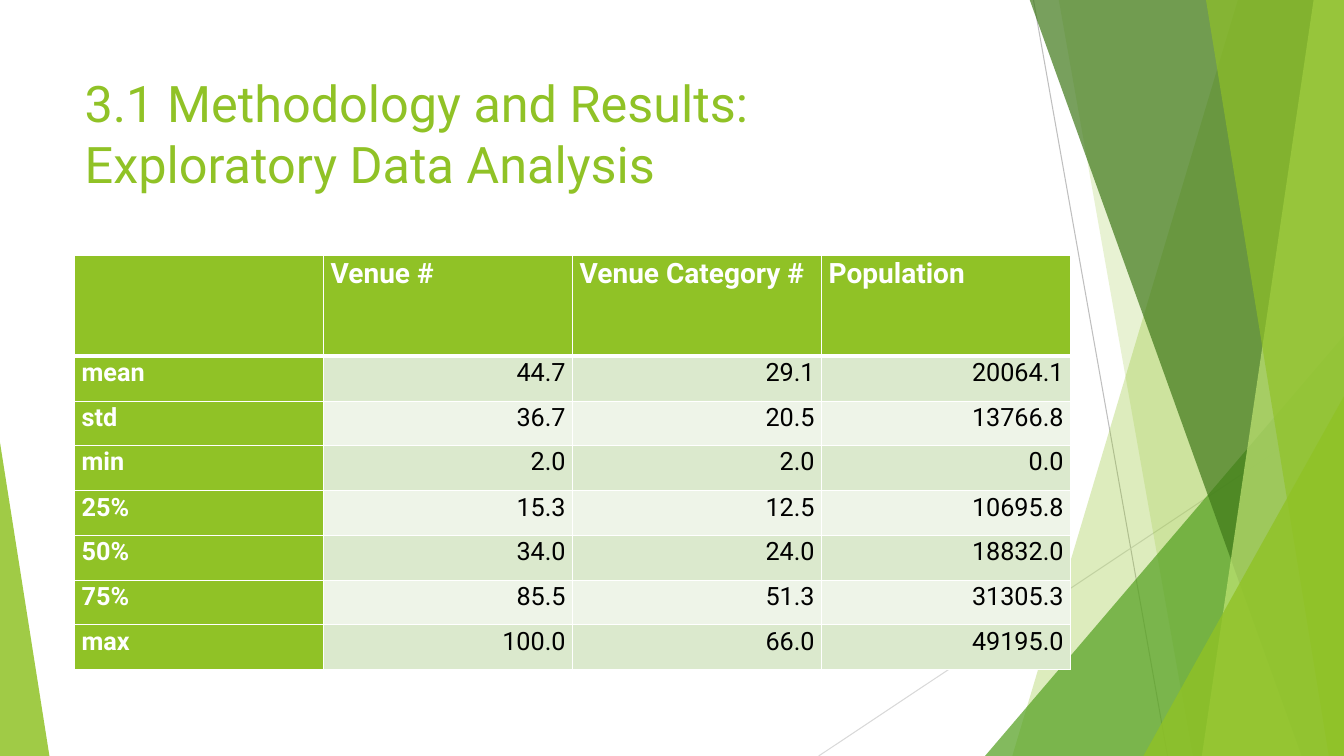
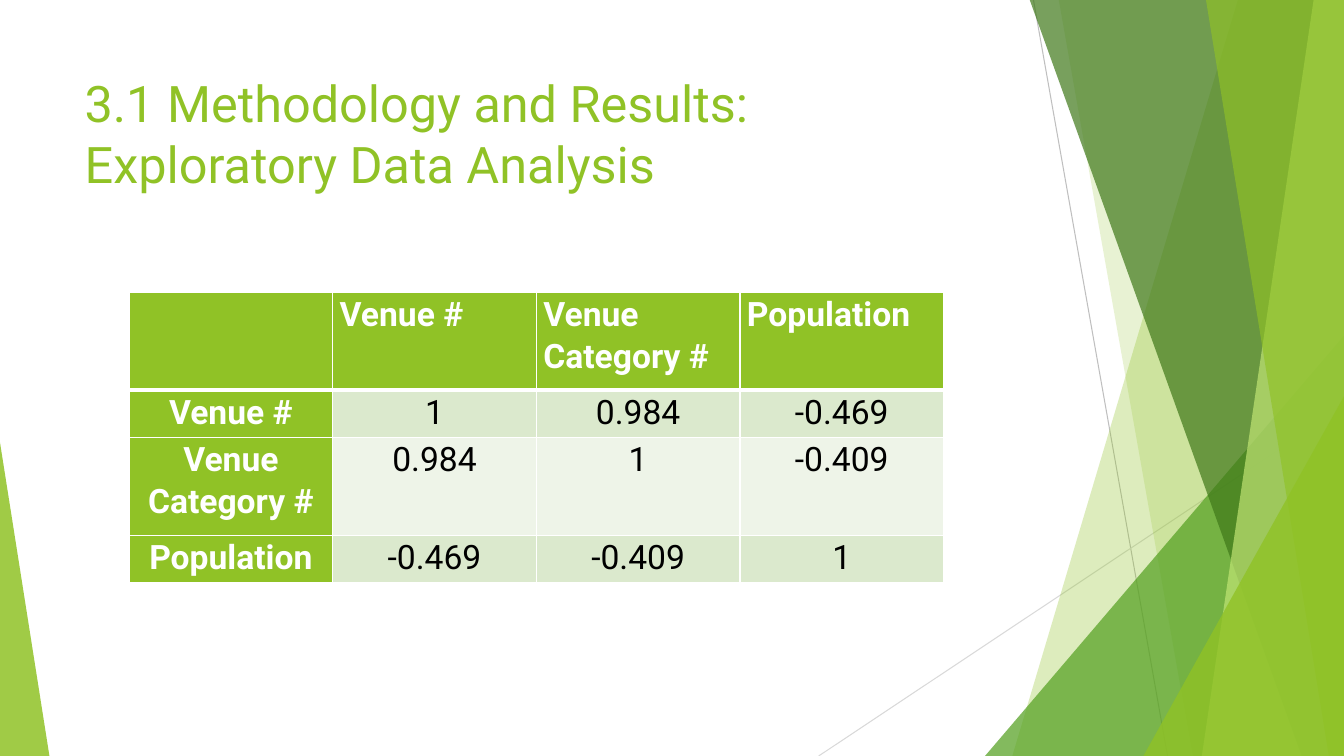
from dataclasses import dataclass

from lxml import etree
from pptx import Presentation
from pptx import util as u
from pptx.dml.color import RGBColor
from pptx.enum import shapes, text
from pptx.oxml import ns

PX = 9144
WIDE, HIGH = 1333, 750


@dataclass(frozen=True)
class Theme:
    font: str = "Roboto"
    lime: str = "90C226"
    leaf: str = "54A021"
    pine: str = "3F7819"
    pale: str = "C0E474"
    bands: tuple = ("DBE9CD", "EEF4E8")
    white: str = "FFFFFF"
    black: str = "000000"
    rules: tuple = ("BFBFBF", "D9D9D9")
    title: int = 36
    large: int = 24
    head: int = 20
    body: int = 18


T = Theme()
LEFT, MID, RIGHT = text.PP_ALIGN.LEFT, text.PP_ALIGN.CENTER, text.PP_ALIGN.RIGHT
TITLE = "3.1 Methodology and Results: Exploratory Data Analysis"
HEADS = ["", "Venue #", "Venue Category #", "Population"]
STATS = [
    HEADS,
    ["mean", "44.7", "29.1", "20064.1"],
    ["std", "36.7", "20.5", "13766.8"],
    ["min", "2.0", "2.0", "0.0"],
    ["25%", "15.3", "12.5", "10695.8"],
    ["50%", "34.0", "24.0", "18832.0"],
    ["75%", "85.5", "51.3", "31305.3"],
    ["max", "100.0", "66.0", "49195.0"],
]
LINKS = [
    HEADS,
    ["Venue #", "1", "0.984", "-0.469"],
    ["Venue Category #", "0.984", "1", "-0.409"],
    ["Population", "-0.469", "-0.409", "1"],
]


def px(*sizes):
    return [u.Emu(size * PX) for size in sizes]


def sub(node, tag, **attrs):
    return etree.SubElement(node, ns.qn(tag), attrs)


def write(frame, words, size, color, bold=False, align=LEFT, space=None):
    para = frame.paragraphs[0]
    para.alignment = align
    para.line_spacing = space
    run = para.add_run()
    run.text = words
    run.font.name = T.font
    run.font.size = u.Pt(size)
    run.font.bold = bold
    run.font.color.rgb = RGBColor.from_string(color)


def paint(shape, color, alpha):
    shape.shadow.inherit = False
    shape.fill.solid()
    shape.fill.fore_color.rgb = RGBColor.from_string(color)
    tint = shape.fill._xPr.find(ns.qn("a:solidFill"))[0]
    sub(tint, "a:alpha", val=str(alpha * 1000))
    shape.line.fill.background()


def rule(slide, start, end, color):
    line = slide.shapes.add_connector(
        shapes.MSO_CONNECTOR.STRAIGHT, *px(*start, *end))
    line.line.color.rgb = RGBColor.from_string(color)
    line.line.width = u.Pt(0.75)
    sub(line._element.spPr, "a:effectLst")


def facet(slide, top, base, color, alpha):
    pen = slide.shapes.build_freeform(top, -1, scale=PX)
    pen.add_line_segments([(WIDE, -1), (WIDE, HIGH), (base, HIGH)])
    paint(pen.convert_to_shape(), color, alpha)


def wedge(slide, left, top, width, tip, color, alpha):
    shape = slide.shapes.add_shape(
        shapes.MSO_SHAPE.ISOSCELES_TRIANGLE, *px(left, top, width, HIGH - top))
    shape.adjustments[0] = tip
    paint(shape, color, alpha)


def adorn(slide):
    rule(slide, (1025, 0), (1158, HIGH), T.rules[0])
    rule(slide, (WIDE, 403), (812, HIGH), T.rules[1])
    facet(slide, 1228, 1004, T.lime, 30)
    facet(slide, 1050, 1183, T.lime, 20)
    wedge(slide, 977, 333, 356, 1, T.leaf, 72)
    facet(slide, 1021, 1291, T.pine, 70)
    facet(slide, 1303, 1192, T.pale, 70)
    facet(slide, 1196, 1318, T.lime, 65)
    wedge(slide, 1134, 393, 199, 1, T.lime, 80)
    wedge(slide, 0, 439, 49, 0, T.lime, 85)


def share(slide):
    adorn(slide)
    tree = slide.slide_layout.shapes._spTree
    for shape in list(slide.shapes):
        if not shape.is_placeholder:
            tree.append(shape._element)


def head(slide):
    box = slide.shapes.title
    box.left, box.top, box.width, box.height = px(74, 67, 940, 144)
    box.text_frame.word_wrap = True
    box.text_frame.vertical_anchor = text.MSO_ANCHOR.TOP
    write(box.text_frame, TITLE, T.title, T.lime)


def edge(cell, first):
    props = cell._tc.get_or_add_tcPr()
    for side in "LRTB":
        points = 3 if first and side == "B" else 1
        line = sub(props, f"a:ln{side}", w=str(u.Pt(points)))
        sub(sub(line, "a:solidFill"), "a:srgbClr", val=T.white)


def grid(slide, data, place, width, rows, sizes, aligns):
    spot = px(*place, width * len(data[0]), sum(rows))
    table = slide.shapes.add_table(len(data), len(data[0]), *spot).table
    for col in table.columns:
        col.width = px(width)[0]
    for i, (words, high) in enumerate(zip(data, rows)):
        table.rows[i].height = px(high)[0]
        for j, word in enumerate(words):
            cell = table.cell(i, j)
            label = i == 0 or j == 0
            edge(cell, i == 0)
            cell.fill.solid()
            cell.fill.fore_color.rgb = RGBColor.from_string(
                T.lime if label else T.bands[(i - 1) % 2])
            cell.margin_left, cell.margin_right = px(7, 7)
            cell.margin_top = cell.margin_bottom = 0
            if word:
                write(cell.text_frame, word, sizes[i > 0],
                      T.white if label else T.black, bold=label, space=1.07,
                      align=LEFT if i == 0 else aligns[j > 0])


def main():
    deck = Presentation()
    deck.slide_width, deck.slide_height = px(WIDE, HIGH)
    layout = deck.slide_layouts[5]
    stats, links = [deck.slides.add_slide(layout) for _ in range(2)]
    share(stats)
    for slide in (stats, links):
        head(slide)
    grid(stats, STATS, (74, 253), 247, [100] + [45, 44] * 3 + [44],
         (T.head, T.body), (LEFT, RIGHT))
    grid(links, LINKS, (128, 290), 202, [97, 47] * 2,
         (T.large, T.large), (MID, MID))
    deck.save("out.pptx")


if __name__ == "__main__":
    main()
